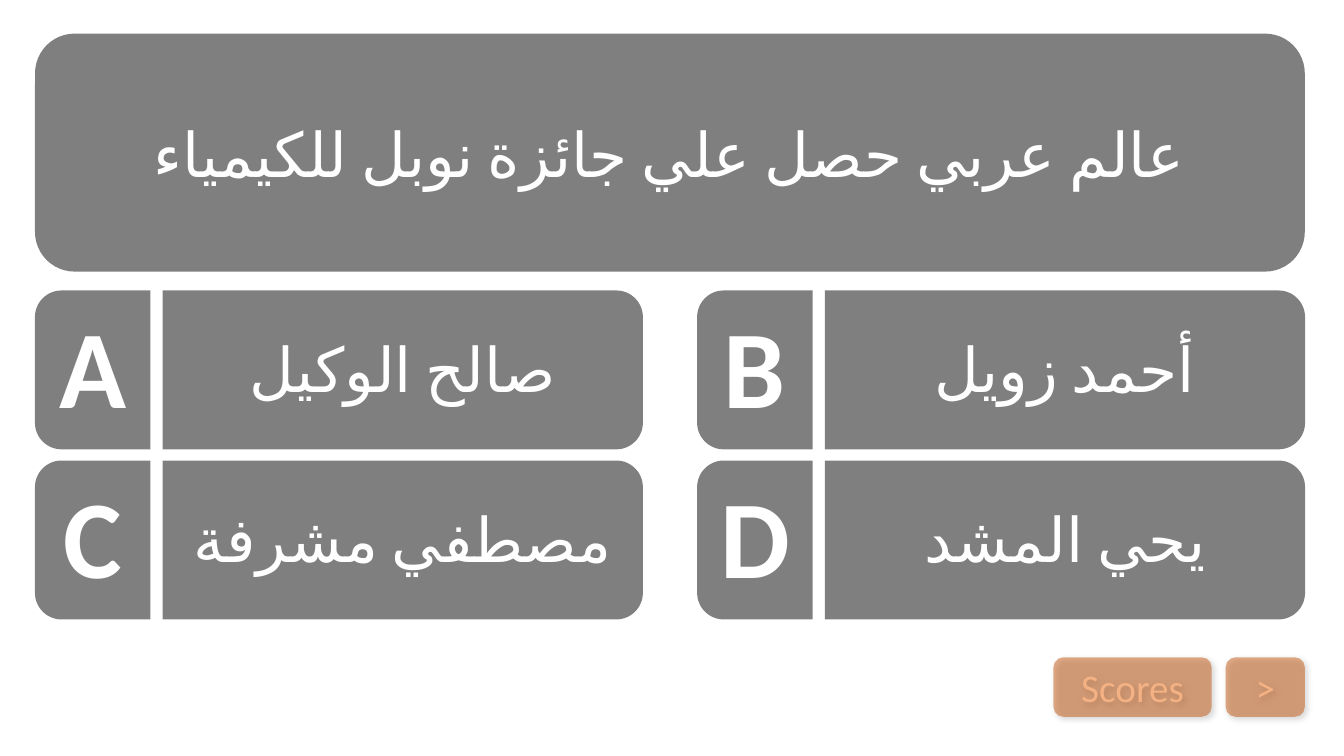
"""Build a quiz slide with one question, four answers and two buttons."""
import math

from lxml import etree
from pptx import Presentation
from pptx.dml.color import RGBColor
from pptx.enum import lang, shapes, text
from pptx.oxml import ns
from pptx.util import Pt

BLACK = RGBColor(0x00, 0x00, 0x00)
WHITE = RGBColor(0xFF, 0xFF, 0xFF)
RUST = RGBColor(0xC5, 0x5A, 0x11)
PEACH = RGBColor(0xF4, 0xB1, 0x83)

TYPEFACE = "Calibri"
LEFT, FIRST_ROW = 25, 207.5
COLUMN_STEP, ROW_STEP = 473, 121.5
ROW_HEIGHT, CORNER = 113.5, 19
LETTER_WIDTH, ANSWER_OFFSET, ANSWER_WIDTH = 82.5, 91.25, 343
ARC_STEPS = 16
ANSWERS = [
    ("A", "صالح الوكيل"),
    ("B", "أحمد زويل"),
    ("C", "مصطفي مشرفة"),
    ("D", "يحي المشد"),
]


def paint(panel, color):
    """Give a panel a half-transparent fill without line or shadow."""
    panel.shadow.inherit = False
    panel.line.fill.background()
    panel.fill.solid()
    panel.fill.fore_color.rgb = color
    tint = panel._element.spPr.find(ns.qn("a:solidFill"))[0]
    etree.SubElement(tint, ns.qn("a:alpha"), val="50000")


def write(panel, words, size=44, color=WHITE, bold=False, arabic=False,
          side_margin=7.2, bottom_margin=3.6):
    """Write one centred paragraph into a panel."""
    frame = panel.text_frame
    frame.word_wrap = True
    frame.vertical_anchor = text.MSO_ANCHOR.MIDDLE
    frame.margin_left = frame.margin_right = Pt(side_margin)
    frame.margin_bottom = Pt(bottom_margin)
    paragraph = frame.paragraphs[0]
    paragraph.alignment = text.PP_ALIGN.CENTER
    run = paragraph.add_run()
    run.text = words
    run.font.name = TYPEFACE
    run.font.size = Pt(size)
    run.font.bold = bold
    run.font.color.rgb = color
    if arabic:
        paragraph._p.get_or_add_pPr().set("rtl", "1")
        run.font.language_id = lang.MSO_LANGUAGE_ID.ARABIC_EGYPT
        etree.SubElement(run._r.rPr, ns.qn("a:cs"), typeface=TYPEFACE)


def add_rounded(slide, left, top, width, height, color):
    """Add a panel with four round corners."""
    panel = slide.shapes.add_shape(
        shapes.MSO_SHAPE.ROUNDED_RECTANGLE, Pt(left), Pt(top), Pt(width), Pt(height)
    )
    paint(panel, color)
    return panel


def add_half_rounded(slide, left, top, width, round_left=False):
    """Add a panel whose corners are round on one side only."""
    outline = [(0, ROW_HEIGHT), (0, 0)]
    for center_y, start in ((CORNER, -90), (ROW_HEIGHT - CORNER, 0)):
        for step in range(ARC_STEPS + 1):
            angle = math.radians(start + 90 * step / ARC_STEPS)
            outline.append((width - CORNER + CORNER * math.cos(angle),
                            center_y + CORNER * math.sin(angle)))
    points = [
        (Pt(left + (width - x if round_left else x)), Pt(top + y)) for x, y in outline
    ]
    builder = slide.shapes.build_freeform(*points[0])
    builder.add_line_segments(points[1:])
    panel = builder.convert_to_shape()
    paint(panel, BLACK)
    return panel


def add_answer(slide, left, top, letter, answer):
    """Add an answer panel with its letter tab."""
    answer_panel = add_half_rounded(slide, left + ANSWER_OFFSET, top, ANSWER_WIDTH)
    write(answer_panel, answer, arabic=True, bottom_margin=6)
    letter_tab = add_half_rounded(slide, left, top, LETTER_WIDTH, round_left=True)
    write(letter_tab, letter, size=79, bold=True, side_margin=0, bottom_margin=12)


def add_button(slide, left, width, label):
    """Add a navigation button with a soft shadow."""
    button = add_rounded(slide, left, 469.5, width, 42.5, RUST)
    write(button, label, size=28, color=PEACH)
    effects = button._element.spPr.find(ns.qn("a:effectLst"))
    shadow = etree.SubElement(
        effects, ns.qn("a:outerShdw"), blurRad=str(Pt(4.5)), dist=str(Pt(2.6)),
        dir=str(53 * 60000), algn="ctr", rotWithShape="0",
    )
    shade = etree.SubElement(shadow, ns.qn("a:srgbClr"), val=str(BLACK))
    etree.SubElement(shade, ns.qn("a:alpha"), val="30000")


def main():
    """Build and save the slide."""
    deck = Presentation()
    deck.slide_width, deck.slide_height = Pt(960), Pt(540)
    slide = deck.slides.add_slide(deck.slide_layouts[6])

    question = add_rounded(slide, LEFT, 24, 907, 170, BLACK)
    write(question, "عالم عربي حصل علي جائزة نوبل للكيمياء", arabic=True)
    for index, (letter, answer) in enumerate(ANSWERS):
        row, column = divmod(index, 2)
        add_answer(slide, LEFT + column * COLUMN_STEP, FIRST_ROW + row * ROW_STEP,
                   letter, answer)
    add_button(slide, 752.5, 113, "Scores")
    add_button(slide, 875.5, 56.5, ">")

    deck.save("out.pptx")


if __name__ == "__main__":
    main()
